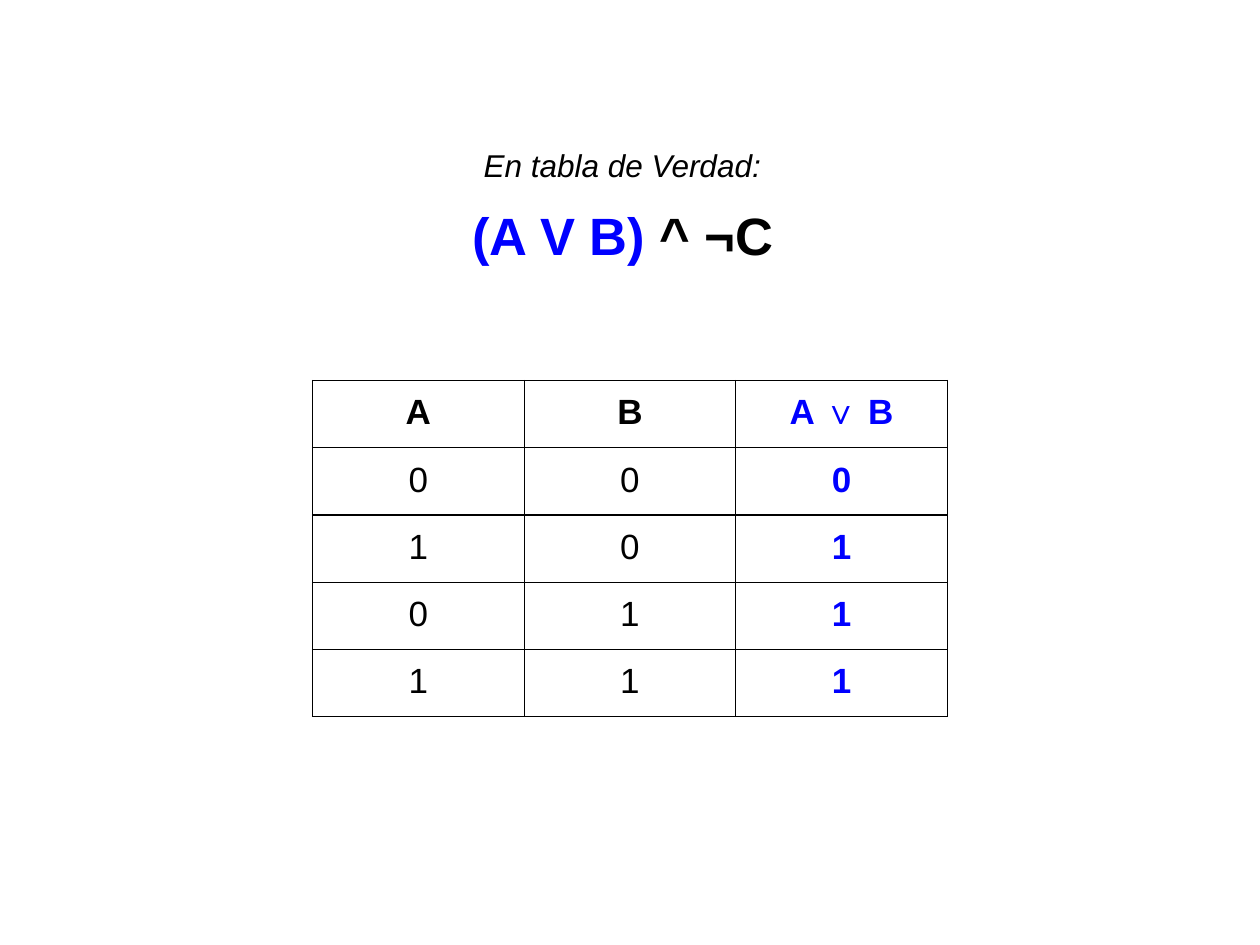
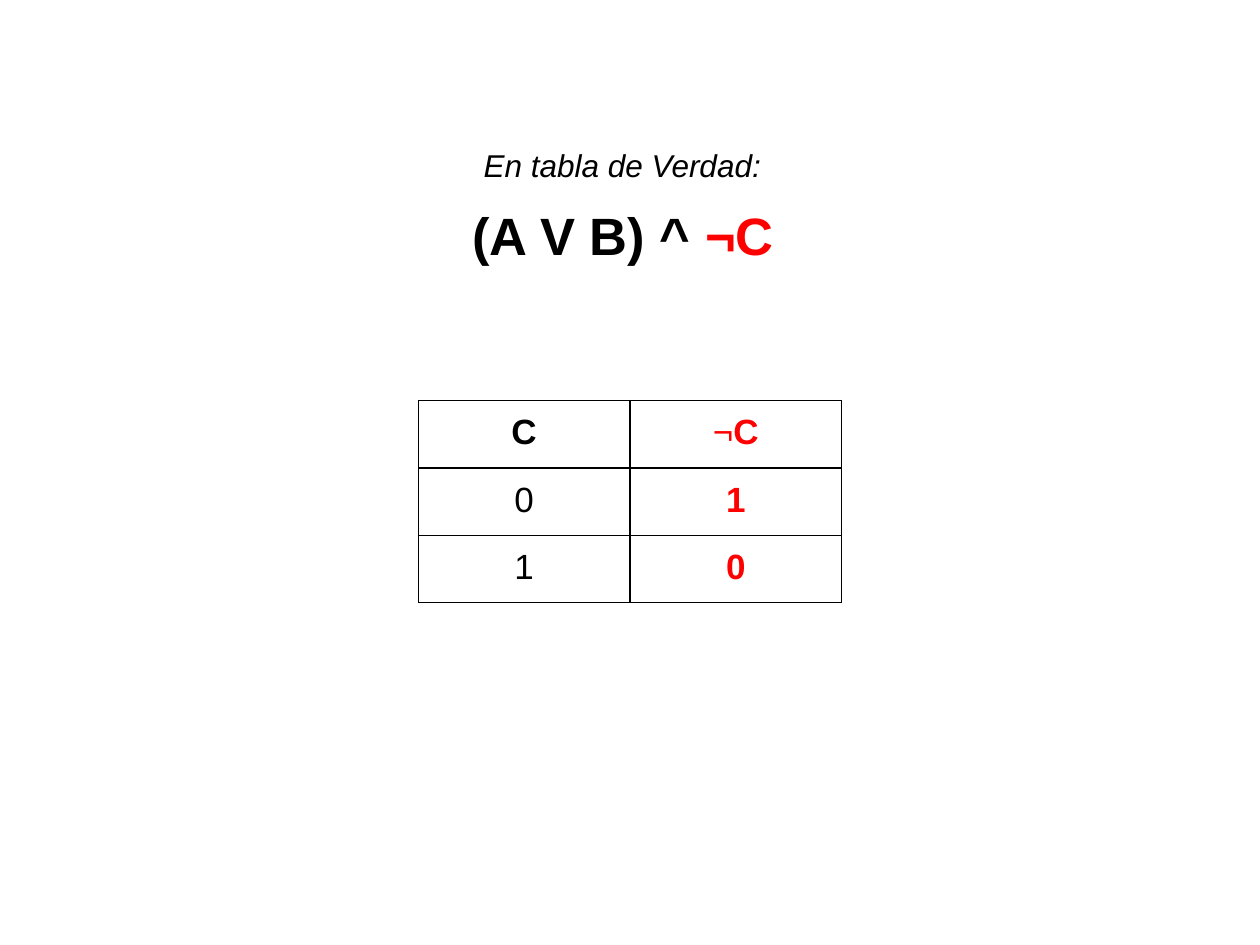
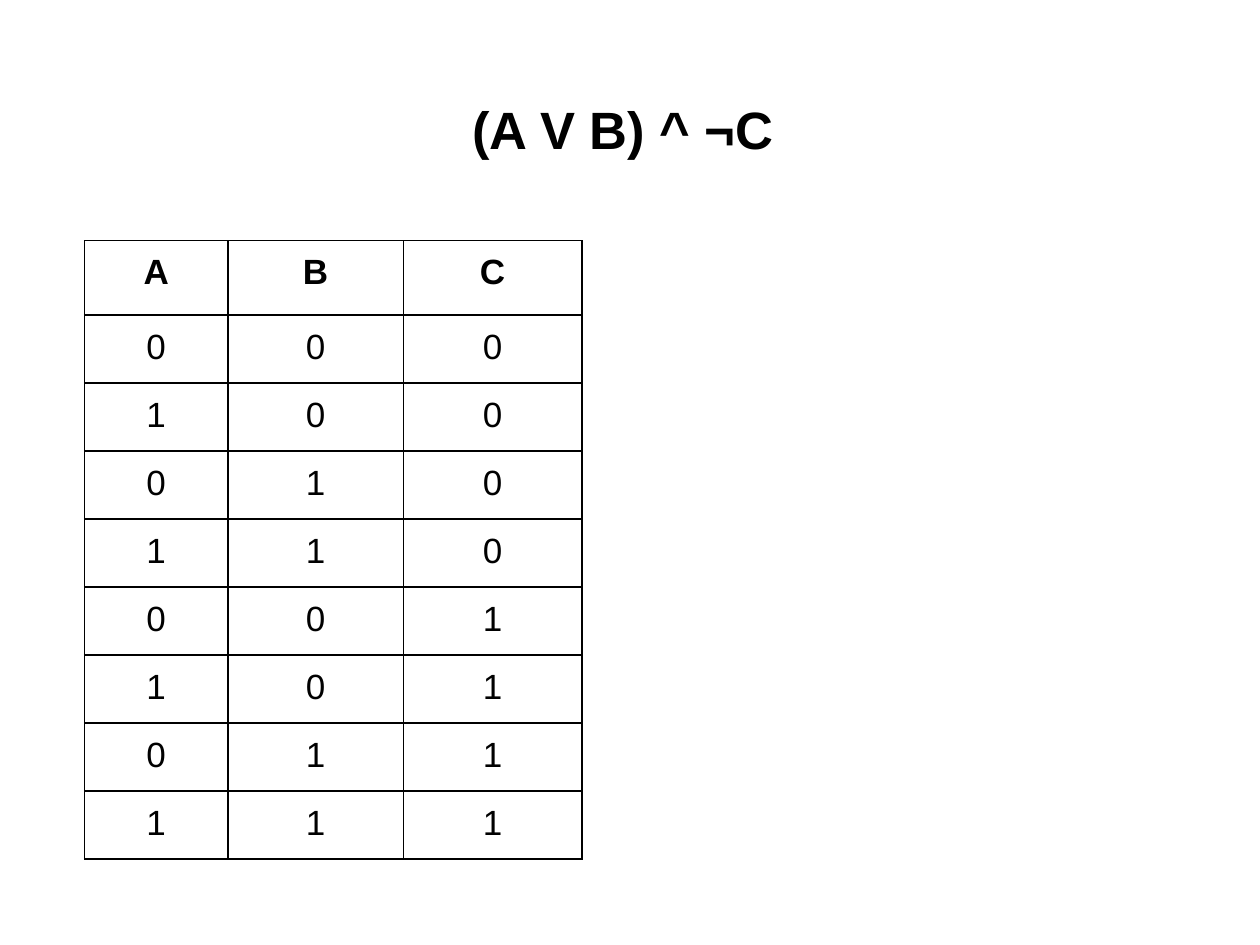
"""Build three slides that work out a logical formula with truth tables."""
import itertools

import lxml.etree
import pptx
import pptx.dml.color
import pptx.enum.text
import pptx.oxml.ns
import pptx.util

FONT = "Arial"
BLACK, BLUE, RED = "000000", "0000FF", "FF0000"
INSET = 7.2
BORDER_WIDTH = 0.75
ROW_HEIGHT = 30.24
COLUMN_WIDTH = 120.96
MARGINS = {
    f"margin_{side}": pptx.util.Pt(INSET) for side in ("left", "top", "right", "bottom")
}
FORMULA_STYLE = {"size": pptx.util.Pt(30), "bold": True}
CAPTION_STYLE = {"size": pptx.util.Pt(18), "italic": True}
HEADER_STYLE = {"size": pptx.util.Pt(20), "bold": True}
VALUE_STYLE = {"size": pptx.util.Pt(20), "bold": False}


def set_attributes(target, values):
    """Set every attribute named in a dict."""
    for name, value in values.items():
        setattr(target, name, value)


def set_colour(color_format, colour):
    """Give a colour format an RGB value from a hex string."""
    color_format.rgb = pptx.dml.color.RGBColor.from_string(colour)


def add_runs(paragraph, runs, style):
    """Write (text, colour, overrides) runs in a shared style."""
    for text, colour, *overrides in runs:
        run = paragraph.add_run()
        run.text = text
        set_attributes(run.font, {"name": FONT, **style})
        for override in overrides:
            set_attributes(run.font, override)
        set_colour(run.font.color, colour)


def add_text(slide, box, runs, style):
    """Add a wrapped, vertically centred line of text."""
    shape = slide.shapes.add_textbox(*map(pptx.util.Pt, box))
    frame = shape.text_frame
    anchor = pptx.enum.text.MSO_ANCHOR.MIDDLE
    set_attributes(frame, {"word_wrap": True, "vertical_anchor": anchor, **MARGINS})
    add_runs(frame.paragraphs[0], runs, style)


def add_formula(slide, runs, top=77.04):
    """Add the large formula."""
    add_text(slide, (262.8, top, 194.4, 113.76), runs, FORMULA_STYLE)


def add_caption(slide):
    """Add the caption above the formula."""
    runs = [("En tabla de Verdad:", BLACK)]
    add_text(slide, (269.28, 80.64, 303.12, 27.36), runs, CAPTION_STYLE)


def add_borders(cell):
    """Draw a thin black line on the four sides of a cell."""
    properties = cell._tc.get_or_add_tcPr()
    qualify = pptx.oxml.ns.qn
    for side in "LRTB":
        line = lxml.etree.SubElement(properties, qualify(f"a:ln{side}"))
        line.set("w", str(pptx.util.Pt(BORDER_WIDTH)))
        fill = lxml.etree.SubElement(line, qualify("a:solidFill"))
        lxml.etree.SubElement(fill, qualify("a:srgbClr")).set("val", BLACK)


def fill_cell(cell, runs, style):
    """Write centred text in a bordered cell without fill."""
    set_attributes(cell, MARGINS)
    add_borders(cell)
    cell.fill.background()
    paragraph = cell.text_frame.paragraphs[0]
    paragraph.alignment = pptx.enum.text.PP_ALIGN.CENTER
    add_runs(paragraph, runs, style)


def add_truth_table(slide, left, top, headers, rows, widths, heights):
    """Add a table with a bold header row above rows of cell runs."""
    box = (left, top, sum(widths), sum(heights))
    frame = slide.shapes.add_table(
        len(heights), len(widths), *map(pptx.util.Pt, box)
    )
    table = frame.table
    set_attributes(table, {"first_row": False, "horz_banding": False})
    for column, width in zip(table.columns, widths):
        column.width = pptx.util.Pt(width)
    for row, height in zip(table.rows, heights):
        row.height = pptx.util.Pt(height)
    for row_index, row in enumerate([headers, *rows]):
        style = VALUE_STYLE if row_index else HEADER_STYLE
        for column_index, runs in enumerate(row):
            fill_cell(table.cell(row_index, column_index), runs, style)


def truth_rows(variable_count, result=None, colour=BLACK):
    """List all inputs, first variable fastest, with an optional result."""
    rows = []
    for bits in itertools.product((0, 1), repeat=variable_count):
        inputs = bits[::-1]
        row = [[(str(bit), BLACK)] for bit in inputs]
        if result:
            row.append([(str(result(*inputs)), colour, {"bold": True})])
        rows.append(row)
    return rows


def variable_headers(names):
    """Make one black header for each variable."""
    return [[(name, BLACK)] for name in names]


def build_disjunction(slide):
    """Show the table of A or B."""
    add_formula(slide, [("(A V B)", BLUE), (" ^ ¬C", BLACK)])
    add_caption(slide)
    headers = variable_headers("AB") + [[("A ", BLUE), ("∨", BLUE), (" B", BLUE)]]
    rows = truth_rows(2, lambda a, b: a | b, BLUE)
    add_truth_table(
        slide, 178.56, 217.44, headers, rows, [COLUMN_WIDTH] * 3, [ROW_HEIGHT] * 5
    )


def build_negation(slide):
    """Show the table of not C."""
    add_formula(slide, [("(A V B) ^ ", BLACK), ("¬C", RED)])
    add_caption(slide)
    headers = variable_headers("C") + [[("¬", RED, {"bold": False}), ("C", RED)]]
    rows = truth_rows(1, lambda c: 1 - c, RED)
    add_truth_table(
        slide, 239.04, 228.96, headers, rows, [COLUMN_WIDTH] * 2, [ROW_HEIGHT] * 3
    )


def build_inputs(slide):
    """Show every combination of the three variables."""
    add_formula(slide, [("(A V B) ^ ¬C", BLACK)], top=16.56)
    widths = [82.08, 100.08, 102.24]
    heights = [42.48] + [38.88] * 8
    add_truth_table(
        slide, 48.24, 137.52, variable_headers("ABC"), truth_rows(3), widths, heights
    )


def main():
    """Build and save the presentation."""
    presentation = pptx.Presentation()
    size = {"slide_width": pptx.util.Pt(720), "slide_height": pptx.util.Pt(540)}
    set_attributes(presentation, size)
    for build in (build_disjunction, build_negation, build_inputs):
        build(presentation.slides.add_slide(presentation.slide_layouts[6]))
    presentation.save("out.pptx")


if __name__ == "__main__":
    main()
